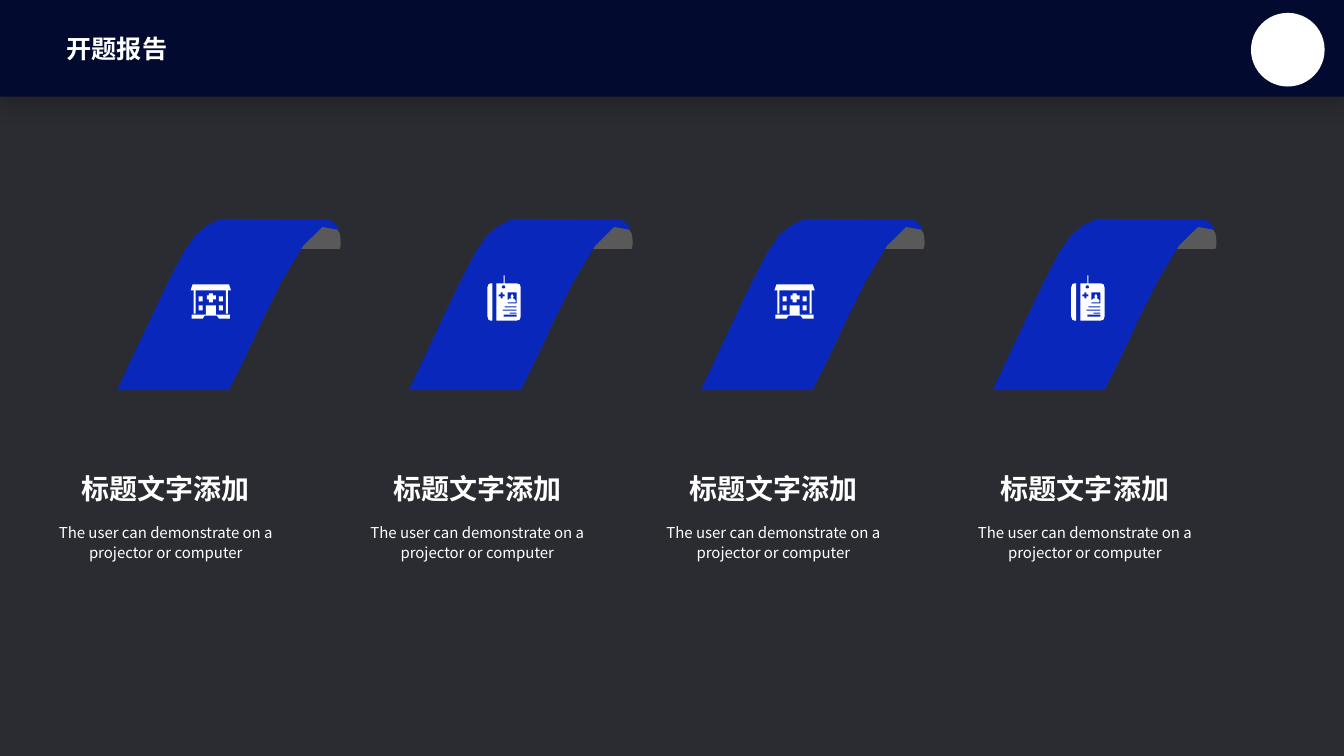
import pptx
import pptx.dml.color
import pptx.enum.shapes
import pptx.enum.text
import pptx.oxml
import pptx.oxml.ns
import pptx.util

Pt = pptx.util.Pt
RGBColor = pptx.dml.color.RGBColor
MSO_SHAPE = pptx.enum.shapes.MSO_SHAPE
PP_ALIGN = pptx.enum.text.PP_ALIGN
MSO_ANCHOR = pptx.enum.text.MSO_ANCHOR
MSO_AUTO_SIZE = pptx.enum.text.MSO_AUTO_SIZE

FONT = "Noto Sans CJK SC"
CHARCOAL = RGBColor(0x2B, 0x2C, 0x31)
NAVY = RGBColor(0x02, 0x0A, 0x2F)
BLUE = RGBColor(0x09, 0x28, 0xBB)
GREY = RGBColor(0x59, 0x59, 0x59)
WHITE = RGBColor(0xFF, 0xFF, 0xFF)

SLIDE_W, SLIDE_H = 960, 540
RIBBON_LEFT, RIBBON_TOP, RIBBON_PITCH = 83.5, 156.3, 208.5
CAPTION_LEFTS = (26, 248.5, 460, 682.5)
CAPTION_TOP, CAPTION_W = 333.4, 185
ICON_UNIT = 0.72
CURVE_STEPS = 6

HEADING = "标题文字添加"
DETAIL = "The user can demonstrate on a projector or computer"

SHADOW = (
    '<a:effectLst %s><a:outerShdw blurRad="177800" dist="76200" dir="5400000" algn="t" '
    'rotWithShape="0"><a:srgbClr val="000000"><a:alpha val="20000"/></a:srgbClr>'
    '</a:outerShdw></a:effectLst>' % pptx.oxml.ns.nsdecls("a")
)


def rect(x, y, w, h):
    """Return the contour of a rectangle."""
    return [(x, y), (x + w, y), (x + w, y + h), (x, y + h)]


CURL = [[(159.1, 21.6), (159.8, 20.9, 160.6, 15.8, 159.1, 10.1),
         (151.9, -9.4, 131.8, 18, 128.9, 21.6)]]
BAND = [[(0, 122.4), (51.8, 13, 50.4, 10.1, 74.2, 0), (151.5, 0.6), (155.8, 3.2),
         (158.6, 7.9), (137, -15.4, 99.8, 86.8, 79.9, 122.4)]]
HOSPITAL = [
    [(37, 6), (37, 29), (35, 29), (35, 6), (5, 6), (5, 29), (3, 29), (3, 6),
     (0, 6), (2, 0), (38, 0), (40, 6)],
    [(18, 9), (18, 11), (16, 11), (16, 15), (18, 15), (18, 18), (22, 18), (22, 15),
     (25, 15), (25, 11), (22, 11), (22, 9)],
    [(15, 21), (15, 30), (1, 30), (1, 34), (12, 34), (14, 31), (26, 31), (28, 34),
     (39, 34), (39, 30), (25, 30), (25, 21)],
] + [rect(x, y, 4, 5) for x in (8, 28) for y in (12, 21)]
BADGE = [
    rect(20, 17, 9, 11), rect(17, 31, 12, 1), rect(15, 34, 14, 1),
    rect(22, 37, 7, 1), rect(16, 39, 13, 2),
    [(15, 23), (13, 23), (13, 21), (11, 21), (11, 19), (13, 19), (13, 17), (15, 17),
     (15, 19), (17, 19), (17, 21), (15, 21)],
    [(18, 12), (17, 13), (15, 13), (14, 12), (15, 10), (17, 10)],
    [(33, 12), (32, 9), (29, 8), (17, 8), (17, 0), (16, 0), (16, 8), (9, 8),
     (9, 45), (29, 45), (32, 44), (33, 41)],
    [(26, 21), (25, 19), (24, 19), (23, 21), (24, 23), (25, 23)],
    [(22, 23), (20, 25), (20, 27), (28, 27), (28, 25), (26, 23)],
    [(5, 8), (3, 8), (1, 9), (0, 12), (0, 41), (1, 44), (3, 45), (5, 45)],
]


def flatten(contour):
    """Turn line and cubic segments into a list of points."""
    points = [contour[0]]
    for seg in contour[1:]:
        if len(seg) == 2:
            points.append(seg)
            continue
        ctrl = (points[-1], seg[:2], seg[2:4], seg[4:])
        for step in range(1, CURVE_STEPS + 1):
            t = step / CURVE_STEPS
            weights = ((1 - t) ** 3, 3 * t * (1 - t) ** 2, 3 * t * t * (1 - t), t ** 3)
            points.append(tuple(sum(w * c[i] for w, c in zip(weights, ctrl)) for i in (0, 1)))
    return points


def paint(sp, color):
    """Give a shape a flat fill with no line or shadow."""
    sp.shadow.inherit = False
    sp.fill.solid()
    sp.fill.fore_color.rgb = color
    sp.line.fill.background()


def add_outline(shapes, left, top, contours, color, unit=1):
    """Draw contours as one filled freeform placed at left, top."""
    builder = None
    for contour in contours:
        points = [(Pt(left + x * unit), Pt(top + y * unit)) for x, y in flatten(contour)]
        if builder is None:
            builder = shapes.build_freeform(*points[0], scale=1.0)
        else:
            builder.move_to(*points[0])
        builder.add_line_segments(points[1:], close=True)
    paint(builder.convert_to_shape(), color)


def write(sp, text, size, bold, align, wrap):
    """Fill a shape's text frame with one white run."""
    tf = sp.text_frame
    tf.word_wrap = wrap
    tf.auto_size = MSO_AUTO_SIZE.SHAPE_TO_FIT_TEXT
    tf.vertical_anchor = MSO_ANCHOR.TOP
    p = tf.paragraphs[0]
    p.alignment = align
    r = p.add_run()
    r.text = text
    r.font.size = Pt(size)
    r.font.bold = bold
    r.font.color.rgb = WHITE
    r.font.name = FONT
    ea = pptx.oxml.parse_xml('<a:ea %s typeface="%s"/>' % (pptx.oxml.ns.nsdecls("a"), FONT))
    r._r.get_or_add_rPr().append(ea)
    return p


def add_header(s, left, top, width, height):
    """Place the shadowed bar, the slide title and the round badge."""
    bar = s.shapes.add_shape(MSO_SHAPE.RECTANGLE, Pt(left), Pt(top), Pt(width), Pt(height))
    paint(bar, NAVY)
    sp_pr = bar.element.spPr
    sp_pr.remove(sp_pr.find(pptx.oxml.ns.qn("a:effectLst")))
    sp_pr.append(pptx.oxml.parse_xml(SHADOW))
    title = s.shapes.title
    title.element.addprevious(bar.element)
    title.left, title.top = Pt(left + 40.3), Pt(top + 20.2)
    title.width, title.height = Pt(87), Pt(29)
    write(title, "开题报告", 18, True, PP_ALIGN.LEFT, False)
    badge = s.shapes.add_shape(
        MSO_SHAPE.OVAL, Pt(left + width - 66.4), Pt(top + 9.2), Pt(52.6), Pt(52.6))
    paint(badge, WHITE)


def add_ribbon(s, left, top, icon, icon_x, icon_y):
    """Draw a curled ribbon with its icon."""
    shapes = s.shapes.add_group_shape().shapes
    add_outline(shapes, left, top, CURL, GREY)
    add_outline(shapes, left, top, BAND, BLUE)
    add_outline(shapes, left + icon_x, top + icon_y, icon, WHITE, ICON_UNIT)


def add_caption(s, left, top, width):
    """Place a heading above its two-line detail."""
    shapes = s.shapes.add_group_shape().shapes
    heading = shapes.add_textbox(Pt(left + 8.5), Pt(top), Pt(width - 17), Pt(31.7))
    write(heading, HEADING, 20, True, PP_ALIGN.CENTER, True)
    detail = shapes.add_textbox(Pt(left), Pt(top + 35.2), Pt(width), Pt(36.7))
    write(detail, DETAIL, 10.7, False, PP_ALIGN.CENTER, True).line_spacing = 1.14


def main():
    """Build the slide and save it."""
    prs = pptx.Presentation()
    prs.slide_width, prs.slide_height = Pt(SLIDE_W), Pt(SLIDE_H)
    s = prs.slides.add_slide(prs.slide_layouts[5])
    s.background.fill.solid()
    s.background.fill.fore_color.rgb = CHARCOAL
    add_header(s, 0, 0, SLIDE_W, 69)
    icons = ((HOSPITAL, 52.7, 46.8), (BADGE, 56.2, 40.3)) * 2
    for i, (icon, caption_left) in enumerate(zip(icons, CAPTION_LEFTS)):
        add_ribbon(s, RIBBON_LEFT + i * RIBBON_PITCH, RIBBON_TOP, *icon)
        add_caption(s, caption_left, CAPTION_TOP, CAPTION_W)
    prs.save("out.pptx")


if __name__ == "__main__":
    main()
